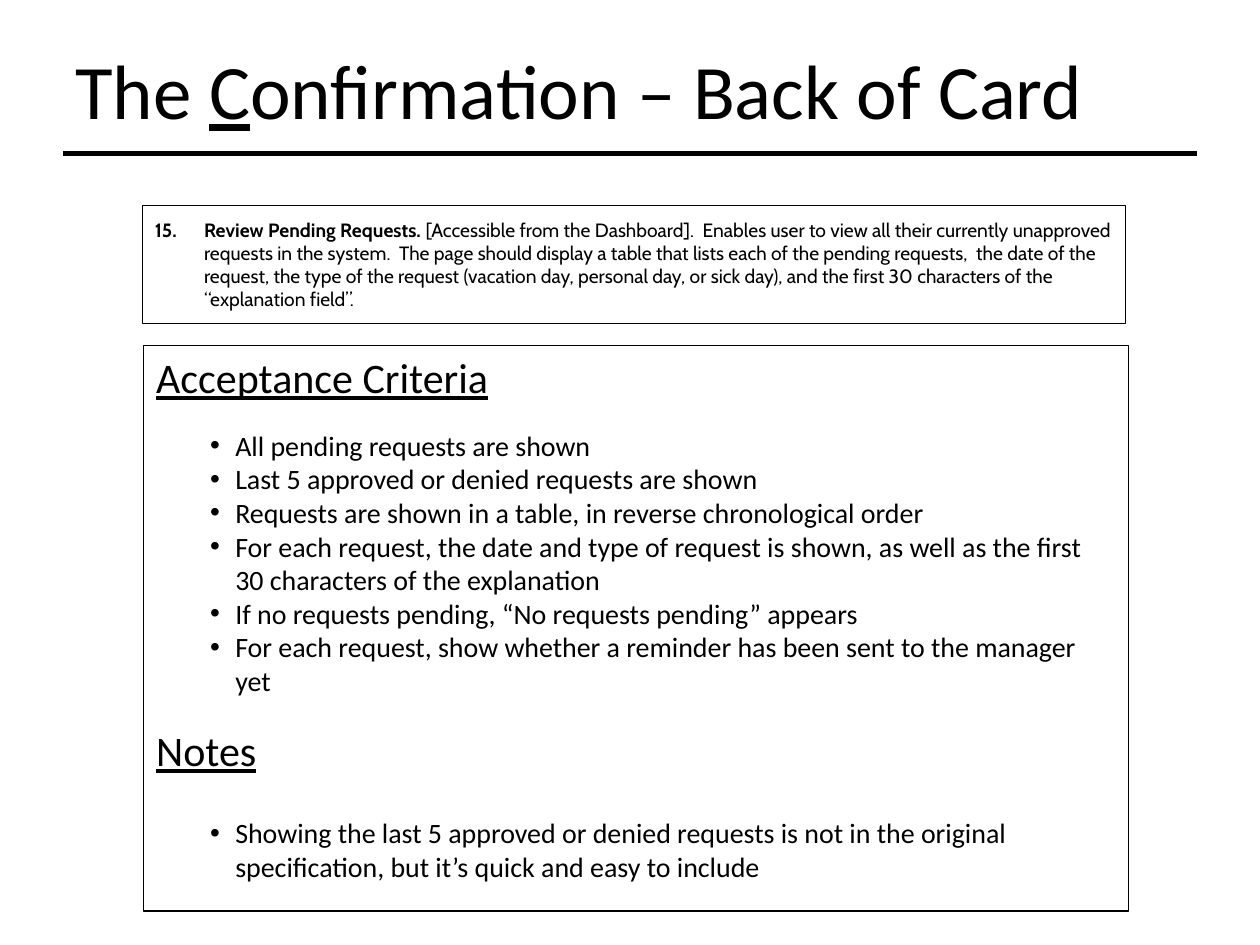
"""Builds the slide about the back of the confirmation card."""
from lxml.etree import SubElement
from pptx import Presentation
from pptx.dml.color import RGBColor
from pptx.enum.shapes import MSO_CONNECTOR as Connector, MSO_SHAPE as Shape
from pptx.enum.text import MSO_ANCHOR as Anchor, PP_ALIGN as Align
from pptx.oxml.ns import qn
from pptx.util import Pt

COLORS = {"ink": "000000", "paper": "FFFFFF"}
WIDTH, HEIGHT, MARGIN = 720, 540, 36
RULE_Y = 87.84

TITLE = [("The ", {}), ("C", {"underline": True}), ("onfirmation – Back of Card", {})]
STORY = [
    ("15. \tReview Pending Requests. ", {"bold": True}),
    ("[Accessible from the Dashboard].  Enables user to view all their currently "
     "unapproved requests in the system.  The page should display a table that lists "
     "each of the pending requests,  the date of the request, the type of the request "
     "(vacation day, personal day, or sick day), and the first 30 characters of the "
     "“explanation field”.", {}),
]
HEADINGS = ["Acceptance Criteria", "Notes"]
CRITERIA = [
    "All pending requests are shown",
    "Last 5 approved or denied requests are shown",
    "Requests are shown in a table, in reverse chronological order",
    "For each request, the date and type of request is shown, as well as the first "
    "30 characters of the explanation",
    "If no requests pending, “No requests pending” appears",
    "For each request, show whether a reminder has been sent to the manager yet",
]
NOTES = [
    "Showing the last 5 approved or denied requests is not in the original "
    "specification, but it’s quick and easy to include",
]
HEADING_GAP, BULLET_GAP = 184.5, 68


def color(name):
    return RGBColor.from_string(COLORS[name])


def write(holder, paragraphs, size, font="Calibri", anchor=Anchor.TOP, hang=0,
          bullet=None, gaps=None, inset_y=3.6, underline=False):
    frame = holder.text_frame
    frame.word_wrap = True
    frame.vertical_anchor = anchor
    frame.margin_top = frame.margin_bottom = Pt(inset_y)
    for index, runs in enumerate(paragraphs):
        para = frame.add_paragraph() if index else frame.paragraphs[0]
        para.alignment = Align.LEFT
        para.space_before = Pt((gaps or {}).get(index, 0))
        props = para._p.get_or_add_pPr()
        if hang:
            props.set("marL", str(Pt(hang)))
            props.set("indent", str(-Pt(hang)))
        if bullet:
            SubElement(props, qn("a:buFont")).set("typeface", "Arial")
            SubElement(props, qn("a:buChar")).set("char", bullet)
        for words, style in [(runs, {})] if isinstance(runs, str) else runs:
            run = para.add_run()
            run.text = words
            run.font.name, run.font.size = font, Pt(size)
            run.font.color.rgb = color("ink")
            run.font.bold = style.get("bold", False)
            run.font.underline = style.get("underline", underline)


def add_card(slide, *place):
    card = slide.shapes.add_shape(Shape.RECTANGLE, *map(Pt, place))
    card.shadow.inherit = False
    card.fill.solid()
    card.fill.fore_color.rgb = color("paper")
    card.line.color.rgb = color("ink")
    card.line.width = Pt(0.75)
    return card


def add_rule(slide):
    rule = slide.shapes.add_connector(
        Connector.STRAIGHT, Pt(MARGIN), Pt(RULE_Y), Pt(WIDTH - MARGIN), Pt(RULE_Y))
    rule.line.color.rgb = color("ink")
    rule.line.width = Pt(3)
    SubElement(rule._element.spPr, qn("a:effectLst"))


def main():
    deck = Presentation()
    deck.slide_width, deck.slide_height = Pt(WIDTH), Pt(HEIGHT)
    slide = deck.slides.add_slide(deck.slide_layouts[6])
    slide.background.fill.solid()
    slide.background.fill.fore_color.rgb = color("paper")

    title = slide.shapes.add_textbox(Pt(MARGIN), Pt(5.76), Pt(684), Pt(90))
    write(title, [TITLE], 44, anchor=Anchor.MIDDLE)
    criteria_card = add_card(slide, 82.2, 197.3, 562.5, 323.3)
    write(criteria_card, HEADINGS, 24, underline=True, gaps={1: HEADING_GAP})
    story_card = add_card(slide, 81.4, 117.4, 561.8, 67.4)
    write(story_card, [STORY], 11, font="Cabin", anchor=Anchor.MIDDLE,
          hang=28.1, inset_y=7.2)
    bullets = slide.shapes.add_textbox(Pt(113), Pt(241.2), Pt(515.5), Pt(275))
    write(bullets, CRITERIA + NOTES, 16, hang=14.4, bullet="•",
          gaps={len(CRITERIA): BULLET_GAP})
    add_rule(slide)
    deck.save("out.pptx")


if __name__ == "__main__":
    main()
